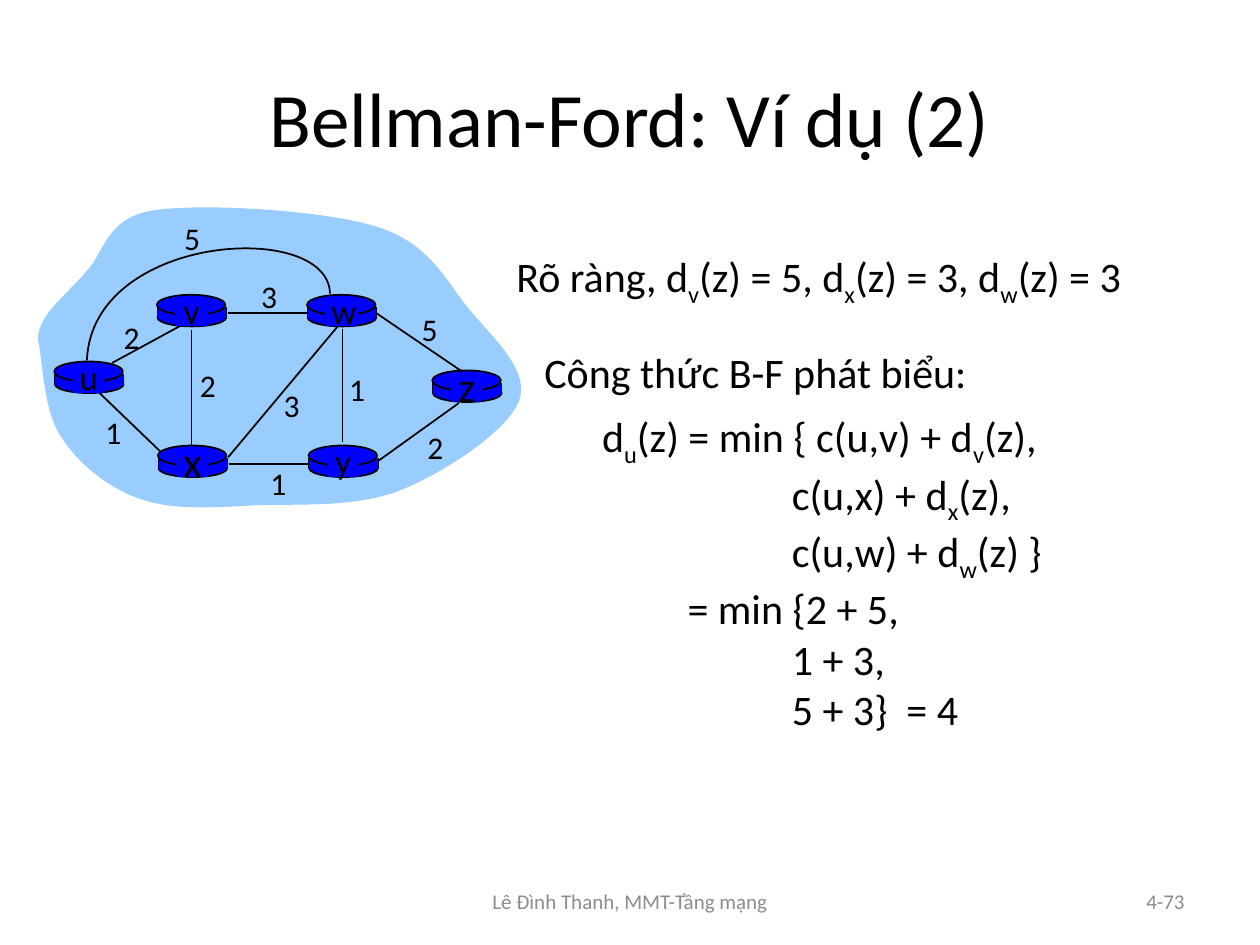
from typing import NamedTuple, Optional

from lxml.etree import SubElement
from pptx import Presentation
from pptx.dml.color import RGBColor
from pptx.enum.shapes import MSO_CONNECTOR, MSO_SHAPE
from pptx.enum.text import MSO_ANCHOR, PP_ALIGN
from pptx.oxml.ns import qn
from pptx.util import Pt

FONT = "Calibri"
BLACK, GREY, BLUE, SKY = "000000", "8C8C8C", "0000FF", "99CCFF"
ROUTER_WIDTH = 39.2
LEFT_SIDE, RIGHT_SIDE = 1, 3

Point = tuple[float, float]
Curve = tuple[Point, Point, Point]


class Router(NamedTuple):
    name: str
    left: float
    top: float
    size: int


class Link(NamedTuple):
    start: Point
    end: Point
    cost: str
    cost_centre: Point
    joined_router: Optional[str] = None
    joined_side: int = LEFT_SIDE


class Line(NamedTuple):
    text: str  # "_" lowers the letter after it
    indent: float = 0


ROUTERS = [
    Router("u", 31, 206.6, 20),
    Router("x", 90.2, 254.6, 24),
    Router("v", 89.6, 168.5, 20),
    Router("w", 175.4, 168.5, 20),
    Router("y", 176.3, 254.6, 20),
    Router("z", 247, 211.7, 24),
]
LINKS = [
    Link((64.1, 207.4), (106.6, 184.3), "2", (75.2, 193)),
    Link((109.4, 188.6), (109.4, 255.6), "2", (118.7, 220.3)),
    Link((91.4, 257.8), (56.9, 224.6), "1", (64.7, 247)),
    Link((130.3, 261.4), (193, 186.5), "3", (166.7, 231.8)),
    Link((176.7, 265), (131, 265), "1", (159.1, 276.1), "y", LEFT_SIDE),
    Link((195.8, 187.9), (195.8, 252.7), "1", (204, 222.5)),
    Link((216, 263.5), (262.1, 230.4), "2", (248.8, 255.6)),
    Link((215, 178.9), (264.2, 212.4), "5", (245.5, 188.2), "w", RIGHT_SIDE),
    Link((175.8, 178.9), (130.3, 178.9), "3", (153.7, 169.2), "w", LEFT_SIDE),
]
CLOUD_START = (21.6, 193.7)
CLOUD: list[Curve] = [
    ((22.3, 179.3), (38.2, 168.5), (49, 155.5)),
    ((60.5, 143.3), (60.5, 124.6), (87.8, 120.2)),
    ((115.9, 115.9), (185.8, 120.2), (215.3, 129.6)),
    ((245.5, 139), (254.2, 159.8), (267.8, 176.4)),
    ((281.5, 193), (303.1, 211.7), (296.6, 229)),
    ((290.2, 246.2), (254.2, 270), (229, 280.1)),
    ((203.8, 290.2), (170.6, 288), (146.2, 288.7)),
    ((121, 290.2), (98.6, 291.6), (79.9, 285.1)),
    ((61.2, 278.6), (43.9, 264.2), (34.6, 249.1)),
    ((24.5, 234), (24.5, 205.2), (21.6, 193.7)),
]
ARC_START = (188.6, 167.8)
ARC: list[Curve] = [((187.9, 125.3), (52.6, 133.2), (49.7, 205.9))]
FORMULA = [
    Line("d_u(z) = min { c(u,v) + d_v(z),"),
    Line("c(u,x) + d_x(z),", 108.4),
    Line("c(u,w) + d_w(z) }", 108.4),
    Line("= min {2 + 5,", 48.8),
    Line("1 + 3,", 108.4),
    Line("5 + 3}  = 4", 108.4),
]


def rgb(colour: str) -> RGBColor:
    return RGBColor.from_string(colour)


def style(shape, fill: Optional[str], line: Optional[str]) -> None:
    shape.shadow.inherit = False
    if fill:
        shape.fill.solid()
        shape.fill.fore_color.rgb = rgb(fill)
    else:
        shape.fill.background()
    if line:
        shape.line.color.rgb = rgb(line)
        shape.line.width = Pt(1)
    else:
        shape.line.fill.background()


def add_block(shapes, kind, left, top, width, height, line=None):
    block = shapes.add_shape(kind, Pt(left), Pt(top), Pt(width), Pt(height))
    style(block, BLUE, line)
    return block


def add_line(shapes, start: Point, end: Point):
    line = shapes.add_connector(
        MSO_CONNECTOR.STRAIGHT, *(Pt(value) for value in start + end))
    line.line.color.rgb = rgb(BLACK)
    line.line.width = Pt(1)
    SubElement(line._element.spPr, qn("a:effectLst"))
    return line


def add_curves(shapes, start: Point, curves: list[Curve], closed: bool,
               fill: Optional[str], line: Optional[str]) -> None:
    """Build the control polygon, then turn each three segments into a Bezier."""
    builder = shapes.build_freeform(Pt(start[0]), Pt(start[1]))
    builder.add_line_segments(
        [(Pt(x), Pt(y)) for curve in curves for x, y in curve], close=closed)
    outline = builder.convert_to_shape()
    segments = list(outline._element.iter(qn("a:lnTo")))
    for first in range(0, len(curves) * 3, 3):
        trio = segments[first:first + 3]
        outline_parent = trio[0].getparent()
        bezier = SubElement(outline_parent, qn("a:cubicBezTo"))
        trio[0].addprevious(bezier)
        for segment in trio:
            bezier.append(segment[0])
            outline_parent.remove(segment)
    style(outline, fill, line)


def add_text(shapes, left, top, width, height, lines: list[Line], size,
             align=PP_ALIGN.LEFT, colour=BLACK, anchor=MSO_ANCHOR.TOP,
             wrap=True) -> None:
    frame = shapes.add_textbox(Pt(left), Pt(top), Pt(width), Pt(height)).text_frame
    frame.word_wrap = wrap
    frame.vertical_anchor = anchor
    for number, line in enumerate(lines):
        paragraph = frame.add_paragraph() if number else frame.paragraphs[0]
        paragraph.alignment = align
        if line.indent:
            paragraph._p.get_or_add_pPr().set("marL", str(Pt(line.indent)))
        first, *rest = line.text.split("_")
        paragraph.add_run().text = first
        for part in rest:
            subscript = paragraph.add_run()
            subscript.text = part[0]
            subscript.font._element.set("baseline", "-25000")
            paragraph.add_run().text = part[1:]
        paragraph.font.name = FONT
        paragraph.font.size = Pt(size)
        paragraph.font.color.rgb = rgb(colour)


def add_label(shapes, text: str, centre: Point, size: int) -> None:
    width, height = 26, size * 1.22 + 7.2
    add_text(shapes, centre[0] - width / 2, centre[1] - height / 2, width, height,
             [Line(text)], size, PP_ALIGN.CENTER, wrap=False)


def add_router(shapes, router: Router):
    """Draw the cylinder and return its middle band, which links can join."""
    left, top, right = router.left, router.top, router.left + ROUTER_WIDTH
    add_block(shapes, MSO_SHAPE.OVAL, left + 0.4, top + 8, ROUTER_WIDTH, 10, BLACK)
    for side in (left + 0.4, right + 0.4):
        add_line(shapes, (side, top + 7.2), (side, top + 13.6))
    band = add_block(shapes, MSO_SHAPE.RECTANGLE, left + 0.4, top + 7.2, ROUTER_WIDTH, 6.4)
    add_block(shapes, MSO_SHAPE.OVAL, left, top, ROUTER_WIDTH, 11.5, BLACK)
    return band


def add_network(shapes) -> None:
    add_curves(shapes, CLOUD_START, CLOUD, True, SKY, None)
    bands = {router.name: add_router(shapes, router) for router in ROUTERS}
    for link in LINKS:
        connector = add_line(shapes, link.start, link.end)
        if link.joined_router:
            connector.begin_connect(bands[link.joined_router], link.joined_side)
    add_curves(shapes, ARC_START, ARC, False, None, BLACK)
    for router in ROUTERS:
        add_block(shapes, MSO_SHAPE.RECTANGLE, router.left + 10.7, router.top + 1.4, 18, 16.5)
        add_label(shapes, router.name, (router.left + 19.8, router.top + 8.9), router.size)
    for link in LINKS:
        add_label(shapes, link.cost, link.cost_centre, 18)
    add_label(shapes, "5", (109.8, 136.1), 18)


def main() -> None:
    deck = Presentation()
    deck.slide_width, deck.slide_height = Pt(720), Pt(540)
    slide = deck.slides.add_slide(deck.slide_layouts[5])
    shapes = slide.shapes

    title = shapes.title
    title.left, title.top, title.width, title.height = Pt(36), Pt(21.6), Pt(648), Pt(90)
    title.text_frame.text = "Bellman-Ford: Ví dụ (2)"
    heading = title.text_frame.paragraphs[0]
    heading.alignment = PP_ALIGN.CENTER
    heading.font.name, heading.font.size = FONT, Pt(44)
    heading.font.color.rgb = rgb(BLACK)

    add_network(shapes.add_group_shape().shapes)

    add_text(shapes, 288, 139.7, 429, 36.7,
             [Line("Rõ ràng, d_v(z) = 5, d_x(z) = 3, d_w(z) = 3")], 24)
    add_text(shapes, 337, 231.3, 319.7, 180, FORMULA, 24)
    add_text(shapes, 304, 194.7, 290.2, 36.7, [Line("Công thức B-F phát biểu:")], 24)
    add_text(shapes, 246, 500.4, 228, 28.8, [Line("Lê Đình Thanh, MMT-Tầng mạng")],
             12, PP_ALIGN.CENTER, GREY, MSO_ANCHOR.MIDDLE)
    add_text(shapes, 516, 500.4, 168, 28.8, [Line("4-73")],
             12, PP_ALIGN.RIGHT, GREY, MSO_ANCHOR.MIDDLE)
    deck.save("out.pptx")


if __name__ == "__main__":
    main()
